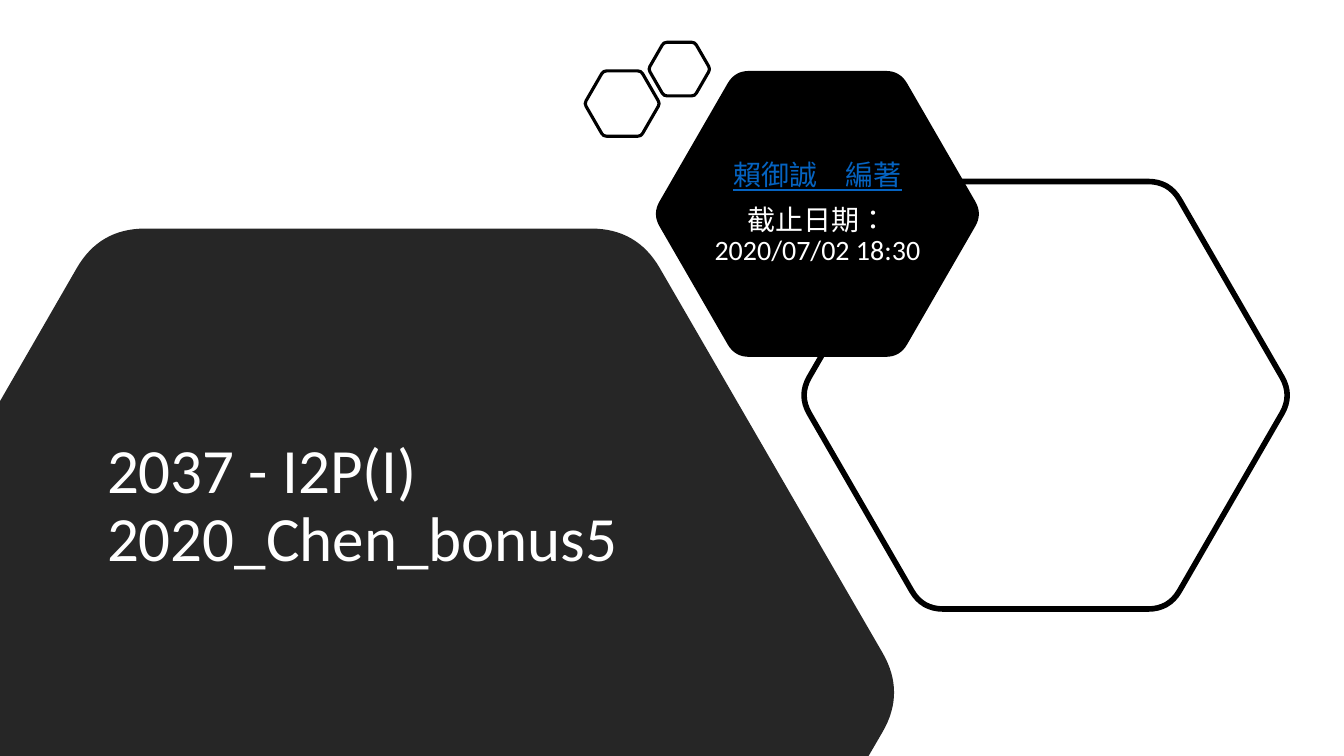
from dataclasses import dataclass
from math import cos, dist, pi, sin

from pptx import Presentation
from pptx.dml.color import RGBColor as RGB
from pptx.enum.text import MSO_ANCHOR as Anchor, PP_ALIGN as Align
from pptx.oxml.ns import qn
from pptx.oxml.xmlchemy import OxmlElement as Element
from pptx.util import Cm, Pt


@dataclass(frozen=True)
class Theme:
    font: str = "Calibri"
    lang: str = "zh-TW"
    black: RGB = RGB(0, 0, 0)
    dark: RGB = RGB(0x26, 0x26, 0x26)
    white: RGB = RGB(0xFF, 0xFF, 0xFF)
    link: RGB = RGB(0x05, 0x63, 0xC1)
    title: int = 45
    subtitle: int = 20
    thick: float = 4
    thin: float = 2.25


def hexagon(cx, cy, radius):
    return [(cx + radius * cos(i * pi / 3), cy + radius * sin(i * pi / 3)) for i in range(6)]


def toward(a, b, share):
    return tuple(m + (n - m) * share for m, n in zip(a, b))


def rounded(corners, cuts):
    points, middles = [], []
    for i, (corner, cut) in enumerate(zip(corners, cuts)):
        if not cut:
            points.append(corner)
            continue
        start, end = (toward(corner, n, cut / dist(corner, n))
                      for n in (corners[i - 1], corners[(i + 1) % len(corners)]))
        middles.append(len(points) + 1)
        points += [start, toward(corner, toward(start, end, 0.5), 0.5), end]
    return points, middles


def bend(sp, middles):
    outline = next(sp.element.iter(qn("a:path")))
    moves = list(outline)
    pts = [move[0] for move in moves[:-1]]
    for i in middles:
        start, mid, end = pts[i - 1:i + 2]
        for axis in ("x", "y"):
            a, b, c = (int(pt.get(axis)) for pt in (start, mid, end))
            mid.set(axis, str(2 * b - (a + c) // 2))
        curve = Element("a:quadBezTo")
        curve.extend([mid, end])
        outline.replace(moves[i], curve)
        outline.remove(moves[i + 1])


class Deck:
    """Draws styled elements on the current slide."""

    def __init__(self, prs, theme):
        self.theme = theme
        self.s = prs.slides.add_slide(prs.slide_layouts[6])

    def outline(self, corners, cuts, fill=None, width=None):
        points, middles = rounded(corners, cuts)
        points = [(Cm(x), Cm(y)) for x, y in points]
        builder = self.s.shapes.build_freeform(*points[0], scale=1.0)
        builder.add_line_segments(points[1:], close=True)
        sp = builder.convert_to_shape()
        bend(sp, middles)
        sp.shadow.inherit = False
        if fill is None:
            sp.fill.background()
        else:
            sp.fill.solid()
            sp.fill.fore_color.rgb = fill
        if width is None:
            sp.line.fill.background()
        else:
            sp.line.color.rgb = self.theme.black
            sp.line.width = Pt(width)

    def hexagon(self, cx, cy, radius, cut, **style):
        self.outline(hexagon(cx, cy, radius), [cut] * 6, **style)

    def text(self, box, lines, size, align=Align.LEFT, before=0):
        tf = self.s.shapes.add_textbox(*map(Cm, box)).text_frame
        tf.word_wrap = True
        tf.vertical_anchor = Anchor.MIDDLE
        for i, (words, color, underline) in enumerate(lines):
            p = tf.add_paragraph() if i else tf.paragraphs[0]
            p.alignment = align
            p.line_spacing = 0.9
            p.space_before = Pt(before)
            r = p.add_run()
            r.text = words
            r.font.name = self.theme.font
            r.font.size = Pt(size)
            r.font.color.rgb = color
            r.font.underline = underline
            r._r.get_or_add_rPr().set("lang", self.theme.lang)


def main():
    prs = Presentation()
    prs.slide_width, prs.slide_height = Cm(33.87), Cm(19.05)
    theme = Theme()
    deck = Deck(prs, theme)

    deck.hexagon(26.35, 9.96, 6.22, 0.53, width=theme.thick)
    deck.hexagon(20.6, 5.39, 4.16, 0.36, fill=theme.black)
    title_panel = [(0, 19.05), (0, 10.11), (2.51, 5.76),
                   (16.05, 5.76), (22.82, 17.45), (21.89, 19.05)]
    deck.outline(title_panel, [0, 0, 1.15, 1.15, 1.15, 0], fill=theme.dark)

    deck.text((2.45, 8.25, 14.22, 9.07),
              [("2037 - I2P(I) 2020_Chen_bonus5", theme.white, False)], theme.title)
    deck.text((17.52, 3.73, 6.17, 3.33),
              [("賴御誠　編著", theme.link, True),
               ("截止日期：2020/07/02 18:30", theme.white, False)],
              theme.subtitle, Align.CENTER, before=10)

    for cx, cy, radius in ((15.68, 2.61, 0.95), (17.12, 1.74, 0.78)):
        deck.hexagon(cx, cy, radius, 0.08, width=theme.thin)

    prs.save("out.pptx")


main()
